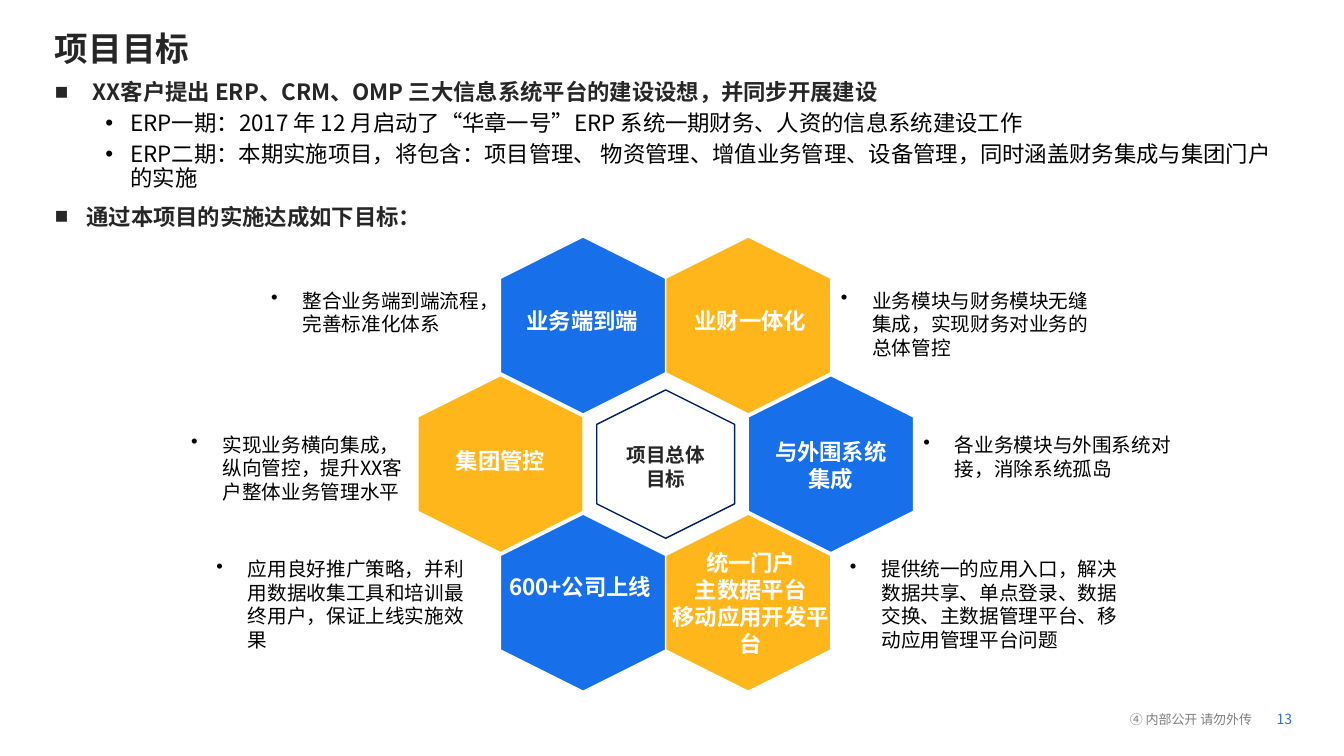
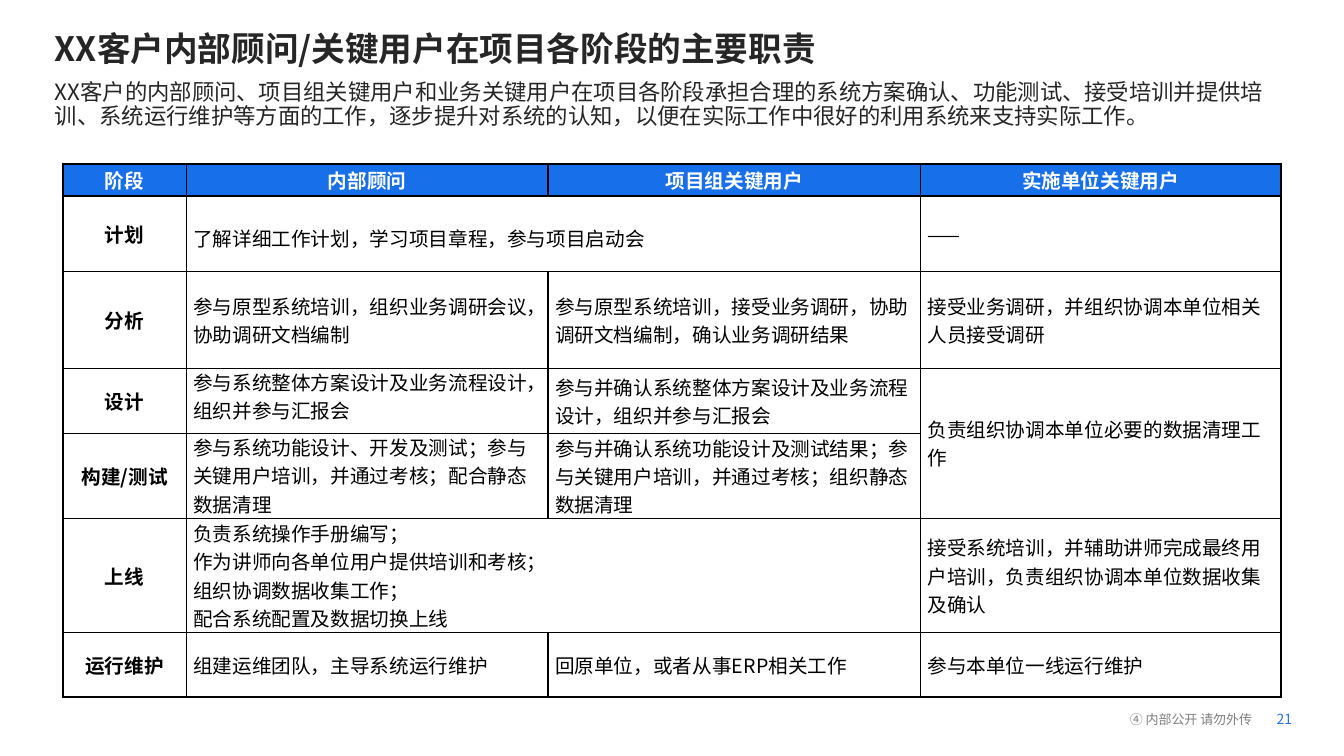
from dataclasses import dataclass

from lxml import etree
from pptx import Presentation
from pptx.dml.color import RGBColor
from pptx.enum.shapes import MSO_SHAPE
from pptx.enum.text import MSO_ANCHOR, MSO_AUTO_SIZE, PP_ALIGN
from pptx.oxml.ns import qn
from pptx.util import Pt

HEXAGON = MSO_SHAPE.HEXAGON
TOP, MIDDLE = MSO_ANCHOR.TOP, MSO_ANCHOR.MIDDLE
LEFT, CENTER, RIGHT = PP_ALIGN.LEFT, PP_ALIGN.CENTER, PP_ALIGN.RIGHT
NO_AUTOFIT = MSO_AUTO_SIZE.NONE
TITLE_AND_CONTENT = 1


@dataclass(frozen=True)
class Theme:
    font: str = "Noto Sans CJK SC"
    # Colours
    dark: str = "262626"
    black: str = "000000"
    white: str = "FFFFFF"
    blue: str = "1770EA"
    yellow: str = "FFB61A"
    navy: str = "002060"
    gray: str = "808080"
    page_blue: str = "2A71EC"
    # Type sizes
    title_size: float = 24
    body_size: float = 16
    detail_size: float = 14
    footer_size: float = 9.3
    page_size: float = 10
    # Line heights as multiples of the type size
    tight: float = 1.08
    normal: float = 1.2
    loose: float = 1.44


@dataclass(frozen=True)
class Style:
    size: float
    color: str
    bold: bool = False
    align: int = LEFT
    leading: float = 1.2
    before: float = 0
    bullet: str = ""
    margin: float = 0
    hanging: float = 0
    level: int = 0


THEME = Theme()
TITLE = Style(THEME.title_size, THEME.dark, bold=True)
LEAD = Style(THEME.body_size, THEME.dark, leading=THEME.tight)
HEADING = Style(THEME.body_size, THEME.dark, bold=True, leading=THEME.tight,
                before=10, bullet="■", margin=22.5, hanging=22.5)
FIRST_HEADING = Style(THEME.body_size, THEME.dark, bold=True,
                      leading=THEME.tight, bullet="■", margin=27, hanging=27)
ITEM = Style(THEME.body_size, THEME.black, leading=THEME.tight, before=5,
             bullet="•", margin=54, hanging=18, level=1)
NOTE = Style(THEME.detail_size, THEME.black, bullet="•", margin=22.5,
             hanging=22.5)
LABEL = Style(THEME.body_size, THEME.white, bold=True, align=CENTER)
CORE_LABEL = Style(THEME.detail_size, THEME.dark, bold=True, align=CENTER)
FOOTER = Style(THEME.footer_size, THEME.gray, align=RIGHT,
               leading=THEME.loose)
PAGE = Style(THEME.page_size, THEME.page_blue)
TABLE_HEAD = Style(THEME.detail_size, THEME.white, True, CENTER, THEME.loose)
TABLE_STAGE = Style(THEME.detail_size, THEME.black, True, CENTER, THEME.loose)
TABLE_TEXT = Style(THEME.detail_size, THEME.black, leading=THEME.loose)


class Deck:
    def __init__(self, theme):
        self.theme = theme
        self.presentation = Presentation()
        self.presentation.slide_width = Pt(960)
        self.presentation.slide_height = Pt(540)
        self.slide = None

    def new_slide(self, title, body, body_box, page):
        layout = self.presentation.slide_layouts[TITLE_AND_CONTENT]
        self.slide = self.presentation.slides.add_slide(layout)
        self.placeholder(0, (32, 16.5, 763, 37), [(title, TITLE)])
        self.placeholder(1, body_box, body)
        self.text((780, 505.5, 115, 14), "④ 内部公开 请勿外传", FOOTER,
                  MIDDLE, 0.7)
        self.text((912, 507.5, 17, 12), str(page), PAGE, MIDDLE, 0)

    def placeholder(self, index, box, content):
        shape = self.slide.placeholders[index]
        shape.left, shape.top, shape.width, shape.height = map(Pt, box)
        frame = shape.text_frame
        frame.auto_size = NO_AUTOFIT
        frame.vertical_anchor = TOP
        self.fill_text(frame, content)

    def fill_text(self, frame, content):
        """Write (text, style) pairs as the paragraphs of a frame."""
        frame.text = "\n".join(text for text, style in content)
        for paragraph, (text, style) in zip(frame.paragraphs, content):
            self.format_paragraph(paragraph, style)

    def format_paragraph(self, paragraph, style):
        paragraph.alignment = style.align
        paragraph.level = style.level
        paragraph.line_spacing = Pt(style.size * style.leading)
        paragraph.space_before = Pt(style.before)
        paragraph.space_after = Pt(0)
        properties = paragraph._p.get_or_add_pPr()
        properties.set("marL", str(Pt(style.margin)))
        properties.set("indent", str(-Pt(style.hanging)))
        if style.bullet:
            bullet = etree.SubElement(properties, qn("a:buChar"))
            bullet.set("char", style.bullet)
        else:
            etree.SubElement(properties, qn("a:buNone"))
        for run in paragraph.runs:
            run.font.size = Pt(style.size)
            run.font.bold = style.bold
            run.font.color.rgb = RGBColor.from_string(style.color)
            run.font.name = self.theme.font
            run_properties = run._r.get_or_add_rPr()
            run_properties.set("lang", "zh-CN")
            east_asian = etree.SubElement(run_properties, qn("a:ea"))
            east_asian.set("typeface", self.theme.font)

    def text(self, box, text, style, anchor=TOP, inset=None):
        shape = self.slide.shapes.add_textbox(*map(Pt, box))
        frame = shape.text_frame
        frame.word_wrap = True
        frame.vertical_anchor = anchor
        if inset is not None:
            frame.margin_left = frame.margin_right = Pt(inset)
            frame.margin_top = frame.margin_bottom = Pt(inset)
        self.fill_text(frame, [(line, style) for line in text.split("\n")])

    def hexagon(self, center_x, center_y, length, breadth, fill, line):
        """Add a hexagon standing on a point, centred on the given spot."""
        shape = self.slide.shapes.add_shape(
            HEXAGON, Pt(center_x - length / 2), Pt(center_y - breadth / 2),
            Pt(length), Pt(breadth))
        shape.rotation = 270
        shape.shadow.inherit = False
        if fill:
            shape.fill.solid()
            shape.fill.fore_color.rgb = RGBColor.from_string(fill)
        else:
            shape.fill.background()
        shape.line.color.rgb = RGBColor.from_string(line)
        shape.line.width = Pt(1)

    def table(self, left, top, widths, heights, rows, merges):
        frame = self.slide.shapes.add_table(
            len(heights), len(widths), Pt(left), Pt(top),
            Pt(sum(widths)), Pt(sum(heights)))
        table = frame.table
        table.first_row = table.horz_banding = False
        for column, width in zip(table.columns, widths):
            column.width = Pt(width)
        for row, height in zip(table.rows, heights):
            row.height = Pt(height)
        for start, end in merges:
            table.cell(*start).merge(table.cell(*end))
        last_row, last_column = len(heights) - 1, len(widths) - 1
        for row, texts in enumerate(rows):
            for column, text in enumerate(texts):
                cell = table.cell(row, column)
                self.borders(cell, {
                    "L": column == 0, "R": column == last_column,
                    "T": row == 0, "B": row == last_row})
                self.table_cell(cell, text, row == 0, column == 0)
        return table

    def table_cell(self, cell, text, is_head, is_stage):
        cell.margin_left = cell.margin_right = Pt(5)
        cell.margin_top = cell.margin_bottom = Pt(0)
        cell.vertical_anchor = MIDDLE
        style = TABLE_STAGE if is_stage else TABLE_TEXT
        if is_head:
            style = TABLE_HEAD
            cell.fill.solid()
            cell.fill.fore_color.rgb = RGBColor.from_string(self.theme.blue)
        else:
            cell.fill.background()
        if text:
            self.fill_text(cell.text_frame,
                           [(line, style) for line in text.split("\n")])

    def borders(self, cell, outer_sides):
        properties = cell._tc.get_or_add_tcPr()
        for position, (side, is_outer) in enumerate(outer_sides.items()):
            line = etree.Element(qn(f"a:ln{side}"))
            line.set("w", str(Pt(1.5 if is_outer else 1)))
            fill = etree.SubElement(line, qn("a:solidFill"))
            color = etree.SubElement(fill, qn("a:srgbClr"))
            color.set("val", self.theme.black)
            properties.insert(position, line)


def goals_slide(deck):
    theme = deck.theme
    deck.new_slide("项目目标", [
        ("XX客户提出 ERP、CRM、OMP 三大信息系统平台的建设设想，并同步开展建设",
         FIRST_HEADING),
        ("ERP一期：2017 年 12 月启动了“华章一号”ERP 系统一期财务、人资的信息系统建设工作",
         ITEM),
        ("ERP二期：本期实施项目，将包含：项目管理、 物资管理、增值业务管理、设备管理，"
         "同时涵盖财务集成与集团门户的实施", ITEM),
        ("通过本项目的实施达成如下目标：", HEADING),
    ], (32, 54, 885.5, 119.5), 13)

    # Honeycomb: column and row steps from the core, fill, label box, label
    core_x, core_y, half_step, row_step = 475.5, 331.5, 59, 99
    cells = [
        (-1, -1, theme.blue, (358.5, 216, 115, 27), "业务端到端"),
        (1, -1, theme.yellow, (474, 216, 124, 27), "业财一体化"),
        (-2, 0, theme.yellow, (307.5, 316, 100, 27), "集团管控"),
        (2, 0, theme.blue, (543.5, 309.5, 100, 46), "与外围系统集成"),
        (-1, 1, theme.blue, (355.5, 406, 118, 46), "600+公司上线"),
        (1, 1, theme.yellow, (472.5, 389, 127.5, 85),
         "统一门户\n主数据平台\n移动应用开发平台"),
    ]
    deck.hexagon(core_x, core_y, 106, 98.5, None, theme.navy)
    deck.text((438.5, 313, 74, 41), "项目总体\n目标", CORE_LABEL)
    for column, row, fill, box, label in cells:
        deck.hexagon(core_x + column * half_step, core_y + row * row_step,
                     126.5, 118, fill, theme.white)
        deck.text(box, label, LABEL)

    # Explanations beside the honeycomb: left, top, width, text
    notes = [
        (186.5, 202.5, 170, "整合业务端到端流程，完善标准化体系"),
        (129.5, 305.5, 168.5, "实现业务横向集成，纵向管控，提升XX客户整体业务管理水平"),
        (147.5, 394.5, 203, "应用良好推广策略，并利用数据收集工具和培训最终用户，保证上线实施效果"),
        (593.5, 202.5, 204, "业务模块与财务模块无缝集成，实现财务对业务的总体管控"),
        (652.5, 306, 204, "各业务模块与外围系统对接，消除系统孤岛"),
        (600, 394.5, 218, "提供统一的应用入口，解决数据共享、单点登录、数据交换、"
                          "主数据管理平台、移动应用管理平台问题"),
    ]
    for left, top, width, text in notes:
        deck.text((left, top, width, 88), text, NOTE)


def duties_slide(deck):
    deck.new_slide("XX客户内部顾问/关键用户在项目各阶段的主要职责", [
        ("XX客户的内部顾问、项目组关键用户和业务关键用户在项目各阶段承担合理的系统方案确认、"
         "功能测试、接受培训并提供培训、系统运行维护等方面的工作，逐步提升对系统的认知，"
         "以便在实际工作中很好的利用系统来支持实际工作。", LEAD),
    ], (32, 54, 884, 37), 21)

    # Duties by stage and role; empty strings lie under merged cells
    rows = [
        ("阶段", "内部顾问", "项目组关键用户", "实施单位关键用户"),
        ("计划", "了解详细工作计划，学习项目章程，参与项目启动会", "", "——"),
        ("分析", "参与原型系统培训，组织业务调研会议，协助调研文档编制",
         "参与原型系统培训，接受业务调研，协助调研文档编制，确认业务调研结果",
         "接受业务调研，并组织协调本单位相关人员接受调研"),
        ("设计", "参与系统整体方案设计及业务流程设计，组织并参与汇报会",
         "参与并确认系统整体方案设计及业务流程设计，组织并参与汇报会",
         "负责组织协调本单位必要的数据清理工作"),
        ("构建/测试",
         "参与系统功能设计、开发及测试；参与关键用户培训，并通过考核；配合静态数据清理",
         "参与并确认系统功能设计及测试结果；参与关键用户培训，并通过考核；组织静态数据清理",
         ""),
        ("上线", "负责系统操作手册编写；\n作为讲师向各单位用户提供培训和考核；\n"
                 "组织协调数据收集工作；\n配合系统配置及数据切换上线", "",
         "接受系统培训，并辅助讲师完成最终用户培训，负责组织协调本单位数据收集及确认"),
        ("运行维护", "组建运维团队，主导系统运行维护", "回原单位，或者从事ERP相关工作",
         "参与本单位一线运行维护"),
    ]
    merges = [((1, 1), (1, 2)), ((3, 3), (4, 3)), ((5, 1), (5, 2))]
    table = deck.table(45, 117, (88, 258.5, 266, 257.5),
                       (23, 54, 69, 46.5, 61, 81.5, 46), rows, merges)
    for row in (1, 3, 4):
        table.cell(row, 1).vertical_anchor = TOP
    table.cell(1, 1).margin_top = Pt(20)


def main():
    deck = Deck(THEME)
    goals_slide(deck)
    duties_slide(deck)
    deck.presentation.save("out.pptx")


if __name__ == "__main__":
    main()
